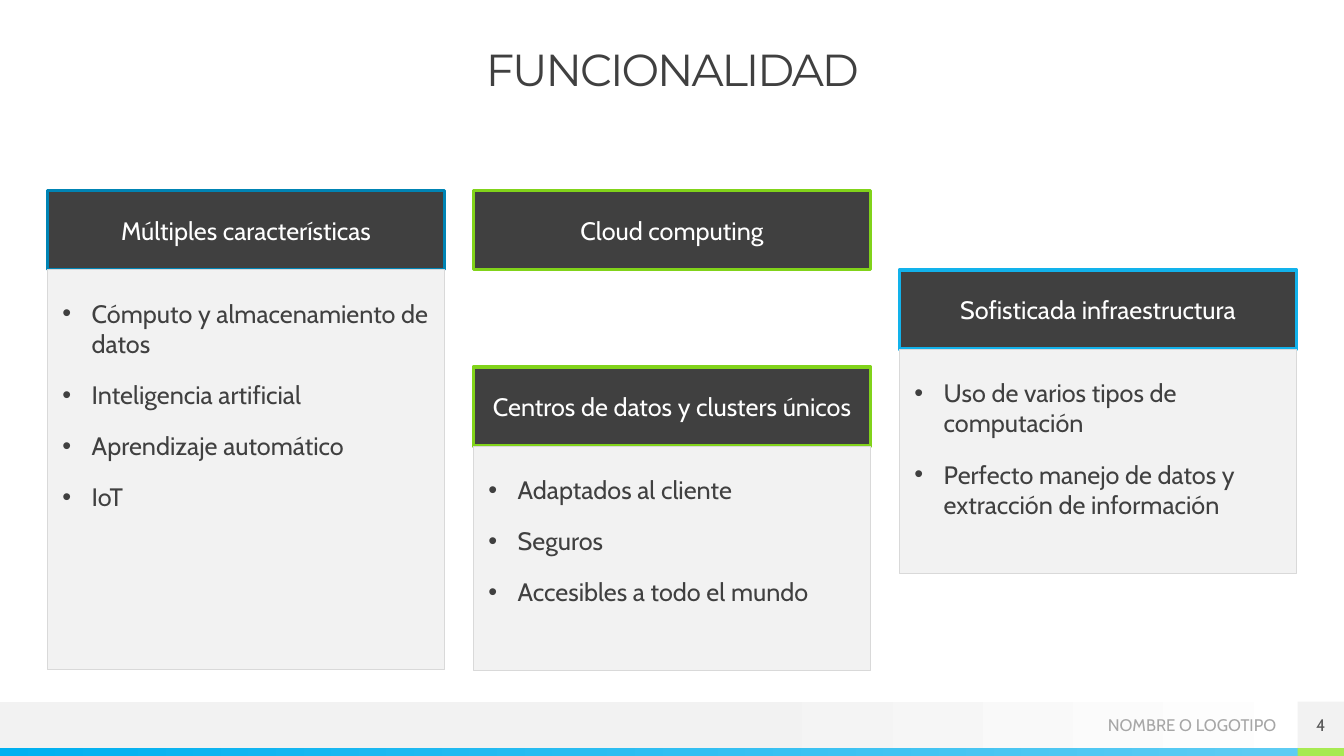
from lxml.etree import SubElement
from pptx import Presentation
from pptx.dml.color import RGBColor
from pptx.enum.shapes import MSO_SHAPE
from pptx.enum.text import MSO_ANCHOR, PP_ALIGN
from pptx.oxml.ns import qn
from pptx.util import Inches, Pt

COLORS = {
    "white": "FFFFFF", "dark": "404040", "panel": "F2F2F2", "border": "D9D9D9",
    "brand": "A6A6A6", "number": "595959", "blue": "0084B4", "green": "81D31A",
    "cyan": "12B2EB", "bar_start": "00B0F0", "bar_end": "5ECCF3", "lime": "A7EA52",
}
TITLE = "FUNCIONALIDAD"
BRAND = "NOMBRE O LOGOTIPO"
PAGE_NUMBER = "4"
CARDS = [
    {"column": 0, "top": 1.89, "color": "blue", "heading": "Múltiples características",
     "body_height": 3.97,
     "items": ["Cómputo y almacenamiento de datos", "Inteligencia artificial",
               "Aprendizaje automático", "IoT"]},
    {"column": 2, "top": 2.68, "color": "cyan", "heading": "Sofisticada infraestructura",
     "body_height": 2.23,
     "items": ["Uso de varios tipos de computación",
               "Perfecto manejo de datos y extracción de información"]},
    {"column": 1, "top": 3.64, "color": "green", "heading": "Centros de datos y clusters únicos",
     "body_height": 2.23,
     "items": ["Adaptados al cliente", "Seguros", "Accesibles a todo el mundo"]},
    {"column": 1, "top": 1.89, "color": "green", "heading": "Cloud computing",
     "body_height": 0, "items": []},
]

WIDTH, HEIGHT = 13.33, 7.5
MARGIN, CARD_WIDTH, COLUMN_STEP, HEADING_HEIGHT = 0.47, 3.94, 4.225, 0.785
FOOTER_TOP, FOOTER_HEIGHT, STRIP_HEIGHT, CORNER = 6.96, 0.46, 0.08, 0.46
HEADING_INSETS = (0.12, 0.04, 0.12, 0.04)
BODY_INSETS = (0.15, 0.28, 0.15, 0)


def color(name):
    return RGBColor.from_string(COLORS[name])


def add_box(page, left, top, width, height, fill=None, line=None, line_width=0.75):
    box = page.shapes.add_shape(MSO_SHAPE.RECTANGLE, Inches(left), Inches(top),
                                Inches(width), Inches(height))
    box.shadow.inherit = False
    if fill:
        box.fill.solid()
        box.fill.fore_color.rgb = color(fill)
    if line:
        box.line.color.rgb = color(line)
        box.line.width = Pt(line_width)
    else:
        box.line.fill.background()
    return box


def add_gradient(box, stops):
    box.fill.gradient()
    box.fill.gradient_angle = 0
    for stop, (position, name) in zip(box.fill.gradient_stops, stops):
        stop.position = position
        stop.color.rgb = color(name)


def add_bullet(para):
    properties = para._p.get_or_add_pPr()
    properties.set("marL", str(Inches(0.29)))
    properties.set("indent", str(-Inches(0.29)))
    bullet_color = SubElement(properties, qn("a:buClr"))
    SubElement(bullet_color, qn("a:srgbClr"), val=COLORS["dark"])
    SubElement(properties, qn("a:buFont"), typeface="Arial")
    SubElement(properties, qn("a:buChar"), char="•")


def write(box, lines, size, ink, align=PP_ALIGN.CENTER, anchor=MSO_ANCHOR.MIDDLE,
          insets=(0, 0, 0, 0), spacing=(0, 0), font="Cabin", bullets=False):
    frame = box.text_frame
    frame.word_wrap = True
    frame.vertical_anchor = anchor
    (frame.margin_left, frame.margin_top,
     frame.margin_right, frame.margin_bottom) = map(Inches, insets)
    frame.text = "\n".join(lines)
    for para in frame.paragraphs:
        para.alignment = align
        para.space_before, para.space_after = map(Pt, spacing)
        if bullets:
            add_bullet(para)
        para.font.size = Pt(size)
        para.font.name = font
        para.font.color.rgb = color(ink)
    return frame.paragraphs[0]


def add_text(page, left, top, width, height):
    return page.shapes.add_textbox(Inches(left), Inches(top), Inches(width), Inches(height))


def add_footer(page):
    corner_left = WIDTH - CORNER
    strip_top = HEIGHT - STRIP_HEIGHT
    band = add_box(page, 0, FOOTER_TOP, WIDTH, FOOTER_HEIGHT)
    add_gradient(band, [(0.53, "panel"), (1, "white")])
    strip = add_box(page, 0, strip_top, corner_left, STRIP_HEIGHT)
    add_gradient(strip, [(0, "bar_start"), (1, "bar_end")])
    add_box(page, corner_left, strip_top, CORNER, STRIP_HEIGHT, "lime")
    brand = add_text(page, 10.42, FOOTER_TOP, 2.24, 0.47)
    write(brand, [BRAND], 12, "brand", align=PP_ALIGN.RIGHT)
    number = add_box(page, corner_left, FOOTER_TOP, CORNER, FOOTER_HEIGHT, "panel")
    write(number, [PAGE_NUMBER], 12, "number")


def add_title(page):
    box = add_text(page, MARGIN, 0.47, 12.4, 0.47)
    para = write(box, [TITLE], 32, "dark", anchor=MSO_ANCHOR.TOP, font="Montserrat")
    para.line_spacing = 0.9
    para.runs[0]._r.get_or_add_rPr().set("spc", "-150")


def add_card(page, card):
    left = MARGIN + card["column"] * COLUMN_STEP
    heading = add_box(page, left, card["top"], CARD_WIDTH, HEADING_HEIGHT,
                      "dark", card["color"], 2.5)
    write(heading, [card["heading"]], 18, "white", insets=HEADING_INSETS, spacing=(10, 5))
    if card["items"]:
        body = add_box(page, left, card["top"] + HEADING_HEIGHT, CARD_WIDTH,
                       card["body_height"], "panel", "border")
        write(body, card["items"], 18, "dark", align=PP_ALIGN.LEFT, anchor=MSO_ANCHOR.TOP,
              insets=BODY_INSETS, spacing=(10, 5), bullets=True)


def main():
    deck = Presentation()
    deck.slide_width, deck.slide_height = Inches(WIDTH), Inches(HEIGHT)
    page = deck.slides.add_slide(deck.slide_layouts[6])
    add_footer(page)
    add_title(page)
    for card in CARDS:
        add_card(page, card)
    deck.save("out.pptx")


if __name__ == "__main__":
    main()
